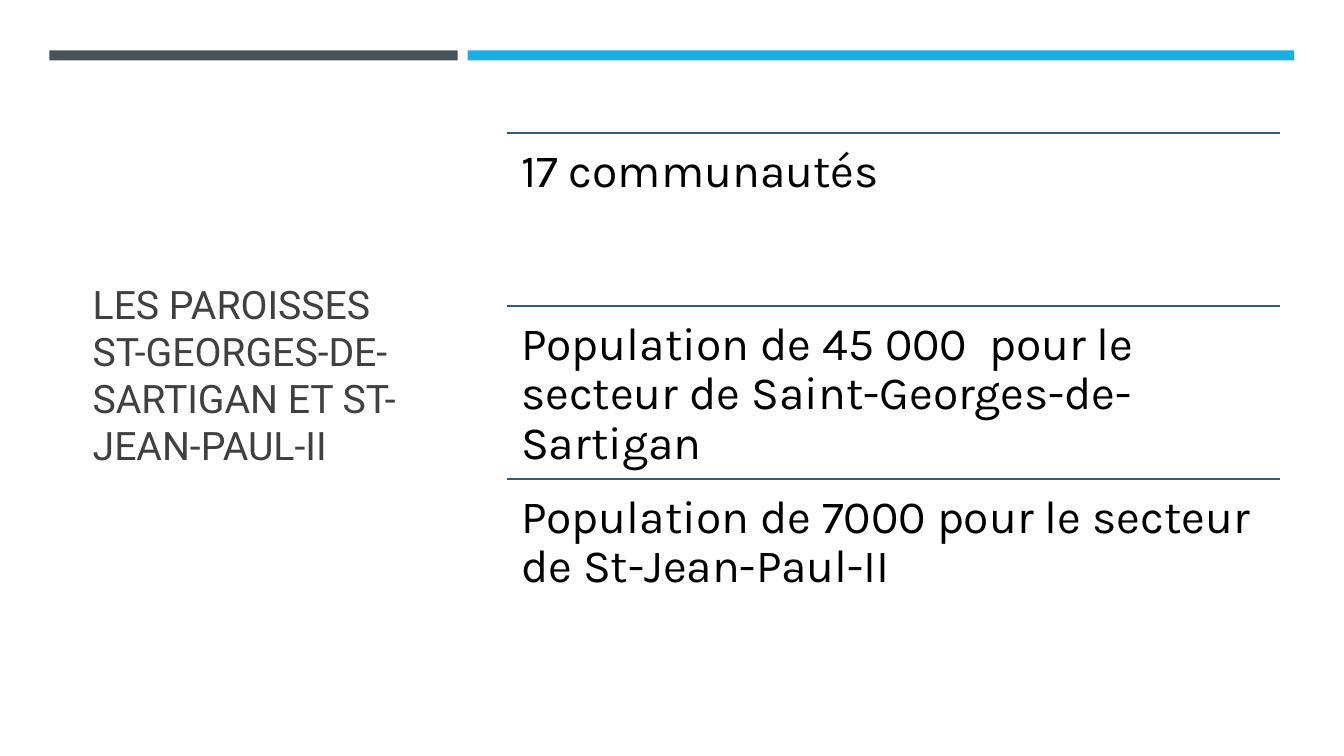
from dataclasses import dataclass

from lxml.etree import SubElement
from pptx import Presentation
from pptx.dml.color import RGBColor as Rgb
from pptx.enum.shapes import MSO_CONNECTOR as Connector, MSO_SHAPE as Preset
from pptx.enum.text import MSO_ANCHOR as Anchor, MSO_AUTO_SIZE as AutoSize, PP_ALIGN as Align
from pptx.oxml.ns import qn
from pptx.util import Pt


@dataclass(frozen=True)
class Theme:
    """Colours, fonts and type sizes of the slide."""
    background: Rgb = Rgb.from_string("FFFFFF")
    heading: Rgb = Rgb.from_string("404040")
    fact: Rgb = Rgb.from_string("000000")
    dark_band: Rgb = Rgb.from_string("465359")
    bright_band: Rgb = Rgb.from_string("1CADE4")
    rule: Rgb = Rgb.from_string("335B74")
    heading_font: str = "Roboto"
    fact_font: str = "Karla"
    heading_size: float = 28
    fact_size: float = 33
    rule_width: float = 1.75


THEME = Theme()
HEADING = "LES PAROISSES ST-GEORGES-DE-SARTIGAN ET ST-JEAN-PAUL-II"
FACTS = (
    "17 communautés",
    "Population de 45 000  pour le secteur de Saint-Georges-de-Sartigan",
    "Population de 7000 pour le secteur de St-Jean-Paul-II",
)
FACTS_LEFT, FACTS_TOP, FACTS_WIDTH, FACT_HEIGHT = 362.2, 95.2, 552.2, 123.5
FACT_INSET = 10


def style_text(frame, text, font_name, size, color):
    """Write one left-aligned paragraph in the given type style."""
    frame.word_wrap = True
    frame.auto_size = AutoSize.NONE
    frame.text = text
    paragraph = frame.paragraphs[0]
    paragraph.alignment = Align.LEFT
    font = paragraph.runs[0].font
    font.name, font.size, font.color.rgb = font_name, Pt(size), color
    return paragraph


def set_heading(slide):
    """Place and format the slide title."""
    heading = slide.shapes.title
    heading.left, heading.top = Pt(59), Pt(82)
    heading.width, heading.height = Pt(240.5), Pt(371)
    heading.text_frame.vertical_anchor = Anchor.MIDDLE
    style_text(heading.text_frame, HEADING, THEME.heading_font,
               THEME.heading_size, THEME.heading)


def add_band(slide, left, width, color):
    """Add a coloured band along the top of the slide."""
    band = slide.shapes.add_shape(Preset.RECTANGLE, Pt(left), Pt(36), Pt(width), Pt(7.2))
    band.shadow.inherit = False
    band.fill.solid()
    band.fill.fore_color.rgb = color
    band.line.fill.background()


def add_rule(slide, top):
    """Add the thin line above a fact."""
    rule = slide.shapes.add_connector(
        Connector.STRAIGHT, Pt(FACTS_LEFT), Pt(top), Pt(FACTS_LEFT + FACTS_WIDTH), Pt(top))
    rule.line.color.rgb = THEME.rule
    rule.line.width = Pt(THEME.rule_width)
    SubElement(rule.element.spPr, qn("a:effectLst"))


def add_fact(slide, top, text):
    """Add one fact under its rule."""
    add_rule(slide, top)
    fact = slide.shapes.add_textbox(
        Pt(FACTS_LEFT), Pt(top), Pt(FACTS_WIDTH), Pt(FACT_HEIGHT))
    frame = fact.text_frame
    frame.margin_left = frame.margin_right = Pt(FACT_INSET)
    frame.margin_top = frame.margin_bottom = Pt(FACT_INSET)
    paragraph = style_text(frame, text, THEME.fact_font, THEME.fact_size, THEME.fact)
    paragraph.line_spacing = 0.9


def main():
    """Build the parishes slide and save it."""
    deck = Presentation()
    deck.slide_width, deck.slide_height = Pt(960), Pt(540)
    slide = deck.slides.add_slide(deck.slide_layouts[5])
    slide.background.fill.solid()
    slide.background.fill.fore_color.rgb = THEME.background
    set_heading(slide)
    add_band(slide, 35.3, 291.6, THEME.dark_band)
    add_band(slide, 334.1, 590.4, THEME.bright_band)
    for row, text in enumerate(FACTS):
        add_fact(slide, FACTS_TOP + row * FACT_HEIGHT, text)
    deck.save("out.pptx")


if __name__ == "__main__":
    main()
